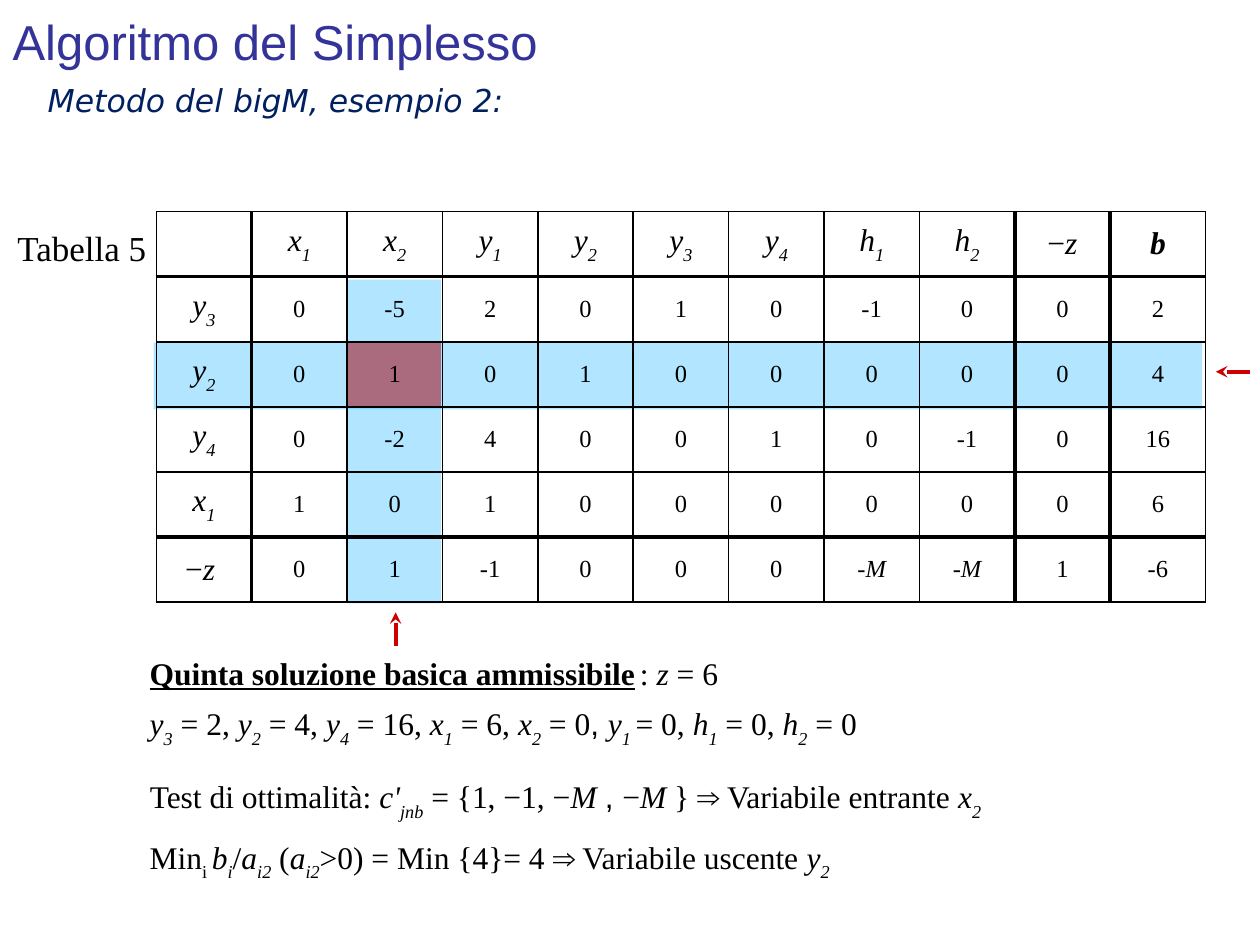
from typing import NamedTuple

from lxml import etree
from pptx import Presentation
from pptx.dml.color import RGBColor
from pptx.enum.shapes import MSO_CONNECTOR, MSO_SHAPE
from pptx.enum.text import MSO_ANCHOR, MSO_AUTO_SIZE, PP_ALIGN
from pptx.oxml.ns import qn
from pptx.util import Inches, Pt

RECT, LINE = MSO_SHAPE.RECTANGLE, MSO_CONNECTOR.STRAIGHT
MIDDLE, NO_FIT = MSO_ANCHOR.MIDDLE, MSO_AUTO_SIZE.NONE
LEFT, RIGHT = PP_ALIGN.LEFT, PP_ALIGN.RIGHT
CENTER, JUSTIFY = PP_ALIGN.CENTER, PP_ALIGN.JUSTIFY
SERIF, SANS, WIDE = "Times New Roman", "Arial", "DejaVu Sans"
COLORS = {"ink": "000000", "title": "333399", "sub": "002060",
          "blue": "66CCFF", "red": "CC0000"}


class Band(NamedTuple):
    left: float
    top: float
    width: float
    height: float
    color: str


class Arrow(NamedTuple):
    """An arrow whose tip is at x, y."""
    x: float
    y: float
    end_x: float
    end_y: float


class Note(NamedTuple):
    left: float
    top: float
    width: float
    height: float
    text: str
    size: int = 18
    align: PP_ALIGN = JUSTIFY
    font: str = SERIF
    color: str = "ink"


BANDS = [
    Band(1.22, 2.72, 8.32, 0.53, "blue"),
    Band(2.76, 2.22, 0.74, 2.57, "blue"),
    Band(2.76, 2.72, 0.74, 0.51, "red"),
]
ARROWS = [Arrow(3.14, 4.86, 3.14, 5.13), Arrow(9.65, 2.95, 9.92, 2.95)]

# In texts, * encloses italics, ~ a subscript and ^ a piece in Arial.
SOLUTION = Note(1.09, 5.14, 7.9, 0.5,
                "Quinta soluzione basica ammissibile~ ~: *z* = 6")
NOTES = [
    Note(-0.07, 1.75, 1.33, 0.43, "Tabella 5", 20, RIGHT),
    Note(0.28, 0.59, 8.52, 0.4, "*Metodo del bigM, esempio 2:*",
         18, LEFT, WIDE, "sub"),
    Note(1.09, 5.54, 7.9, 0.5,
         "*y~3~* = 2, *y~2~* = 4, *y~4~* = 16, *x~1~* = 6, *x~2~* = 0^, ^"
         "*y~1 ~*= 0, *h~1~* = 0, *h~2~* = 0"),
    Note(1.09, 6.12, 8.49, 0.5,
         "Test di ottimalità: *c'~jnb~* = {1, −1, −*M *^, ^−*M *} ⇒ "
         "Variabile entrante *x~2~*"),
    Note(1.09, 6.6, 7.9, 0.4,
         "Min~i ~*b~i~*/*a~i2~* (*a~i2~*>0) = Min {4}= 4 ⇒ "
         "Variabile uscente *y~2~*"),
]

ROWS = [
    ["", "*x~1~*", "*x~2~*", "*y~1~*", "*y~2~*", "*y~3~*", "*y~4~*",
     "*h~1~*", "*h~2~*", "−*z*", "*b*"],
    ["*y~3~*", "0", "-5", "2", "0", "1", "0", "-1", "0", "0", "2"],
    ["*y~2~*", "0", "1", "0", "1", "0", "0", "0", "0", "0", "4"],
    ["*y~4~*", "0", "-2", "4", "0", "0", "1", "0", "-1", "0", "16"],
    ["*x~1~*", "1", "0", "1", "0", "0", "0", "0", "0", "0", "6"],
    ["−*z *", "0", "1", "-1", "0", "0", "0", "-*M*", "-*M*", "1", "-6"],
]
THICK_COLS, THICK_ROWS = {1, 9, 10}, {1, 5}


def rgb(name: str) -> RGBColor:
    return RGBColor.from_string(COLORS[name])


def write(para, text: str, size: int, font: str = SERIF,
          color: str = "ink") -> None:
    """Turn marked text into formatted runs."""
    for i, part in enumerate(text.split("*")):
        for j, chunk in enumerate(part.split("~")):
            for k, piece in enumerate(chunk.split("^")):
                if not piece:
                    continue
                run = para.add_run()
                run.text = piece
                run.font.size = Pt(size)
                run.font.name = SANS if k % 2 else font
                run.font.color.rgb = rgb(color)
                run.font.italic = i % 2 == 1
                if j % 2:
                    run.font._element.set("baseline", "-30000")


def add_band(slide, band: Band) -> None:
    shape = slide.shapes.add_shape(RECT, *map(Inches, band[:4]))
    shape.shadow.inherit = False
    shape.line.fill.background()
    shape.fill.solid()
    shape.fill.fore_color.rgb = rgb(band.color)
    tint = shape._element.spPr.find(".//" + qn("a:srgbClr"))
    etree.SubElement(tint, qn("a:alpha"), val="50000")


def add_arrow(slide, arrow: Arrow) -> None:
    line = slide.shapes.add_connector(LINE, *map(Inches, arrow))
    line.line.color.rgb = rgb("red")
    line.line.width = Pt(2.25)
    etree.SubElement(line.line._get_or_add_ln(), qn("a:headEnd"),
                     type="stealth")
    etree.SubElement(line._element.spPr, qn("a:effectLst"))


def add_note(slide, note: Note):
    frame = slide.shapes.add_textbox(*map(Inches, note[:4])).text_frame
    frame.word_wrap = True
    para = frame.paragraphs[0]
    para.alignment = note.align
    write(para, note.text, note.size, note.font, note.color)
    return para


def set_edges(cell, row: int, col: int) -> None:
    props = cell._tc.get_or_add_tcPr()
    edges = {"L": col in THICK_COLS, "R": col + 1 in THICK_COLS,
             "T": row in THICK_ROWS, "B": row + 1 in THICK_ROWS}
    for side, thick in edges.items():
        edge = etree.SubElement(props, qn("a:ln" + side),
                                w=str(Pt(2.25 if thick else 1)))
        fill = etree.SubElement(edge, qn("a:solidFill"))
        etree.SubElement(fill, qn("a:srgbClr"), val=COLORS["ink"])


def add_grid(slide) -> None:
    table = slide.shapes.add_table(
        len(ROWS), len(ROWS[0]), Inches(1.24), Inches(1.68),
        Inches(8.33), Inches(3.1)).table
    table.first_row = table.horz_banding = False
    for r, row in enumerate(ROWS):
        for c, text in enumerate(row):
            cell = table.cell(r, c)
            set_edges(cell, r, c)
            cell.fill.background()
            cell.vertical_anchor = MIDDLE
            para = cell.text_frame.paragraphs[0]
            para.alignment = CENTER
            write(para, text, 14 if r and c else 18)
    table.cell(0, 10).text_frame.paragraphs[0].runs[0].font.bold = True


def add_title(slide) -> None:
    title = slide.shapes.title
    title.left, title.top = Inches(0), Inches(-0.03)
    title.width, title.height = Inches(9), Inches(0.71)
    frame = title.text_frame
    frame.auto_size = NO_FIT
    frame.vertical_anchor = MIDDLE
    para = frame.paragraphs[0]
    para.alignment = LEFT
    write(para, "Algoritmo del Simplesso", 28, SANS, "title")


def main() -> None:
    deck = Presentation()
    deck.slide_width, deck.slide_height = Inches(10), Inches(7.5)
    slide = deck.slides.add_slide(deck.slide_layouts[5])
    add_title(slide)
    for band in BANDS:
        add_band(slide, band)
    for arrow in ARROWS:
        add_arrow(slide, arrow)
    add_grid(slide)
    for note in NOTES:
        add_note(slide, note)
    head = add_note(slide, SOLUTION).runs[0].font
    head.bold = head.underline = True
    deck.save("out.pptx")


if __name__ == "__main__":
    main()
